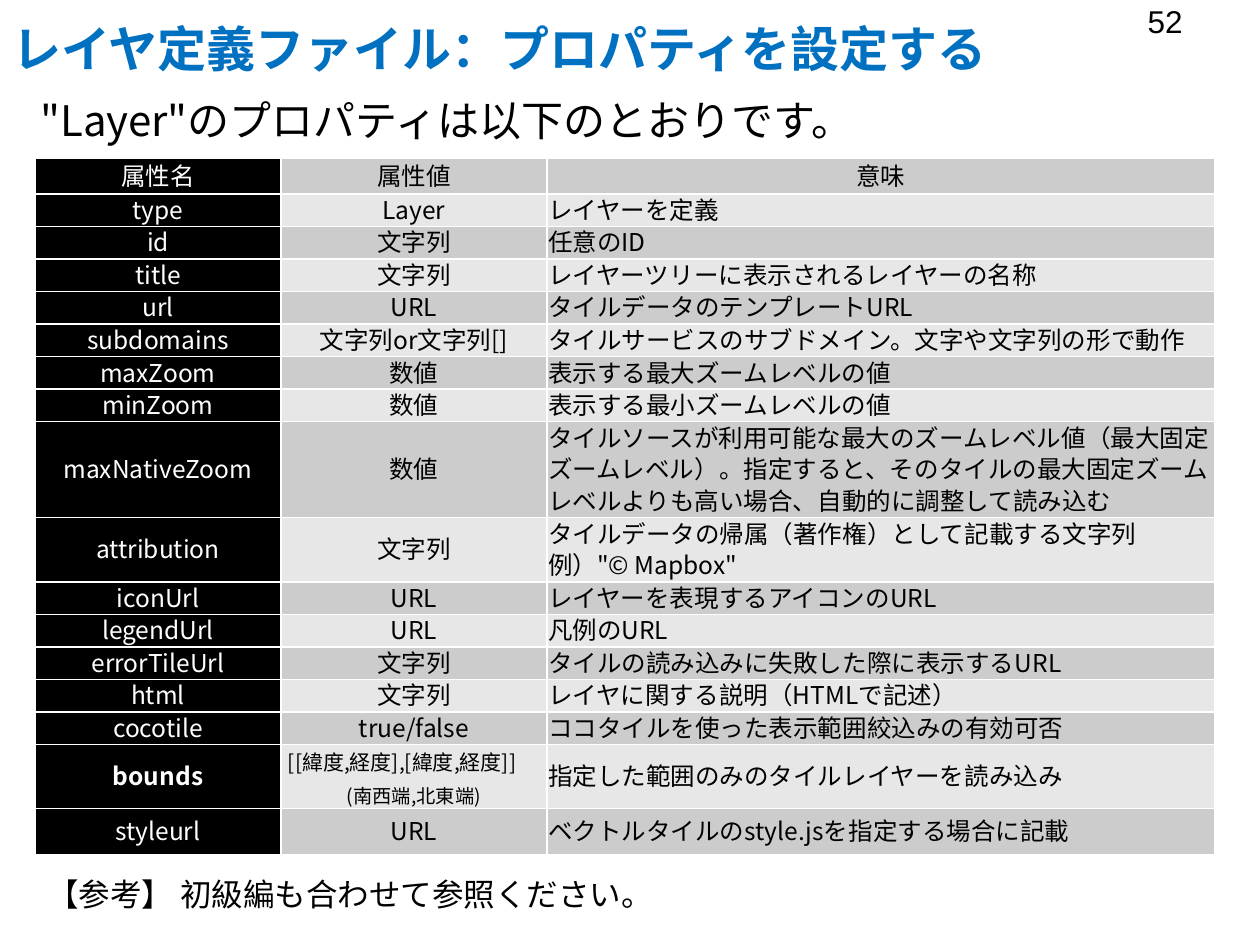
from lxml.etree import SubElement
from pptx import Presentation
from pptx.dml.color import RGBColor
from pptx.enum.text import MSO_ANCHOR as Anchor, MSO_AUTO_SIZE as AutoSize, PP_ALIGN as Align
from pptx.oxml import parse_xml
from pptx.oxml.ns import nsdecls, qn
from pptx.util import Pt

PX = 914400 / 126
GOTHIC = "Noto Sans CJK JP"
COLORS = {"title": "0070C0", "text": "000000", "light": "FFFFFF",
          "name": "000000", "band_dark": "CCCCCC", "band_light": "E7E7E7",
          "border": "FFFFFF"}

COLUMN_WIDTHS = [246, 266, 668]
ROW_HEIGHT = 32
SPECIAL_HEIGHTS = {"属性名": 36, "maxNativeZoom": 96, "attribution": 64,
                   "bounds": 64, "styleurl": 46}
PROPERTIES = [
    ("属性名", "属性値", "意味"),
    ("type", "Layer", "レイヤーを定義"),
    ("id", "文字列", "任意のID"),
    ("title", "文字列", "レイヤーツリーに表示されるレイヤーの名称"),
    ("url", "URL", "タイルデータのテンプレートURL"),
    ("subdomains", "文字列or文字列[]", "タイルサービスのサブドメイン。文字や文字列の形で動作"),
    ("maxZoom", "数値", "表示する最大ズームレベルの値"),
    ("minZoom", "数値", "表示する最小ズームレベルの値"),
    ("maxNativeZoom", "数値",
     "タイルソースが利用可能な最大のズームレベル値（最大固定ズームレベル）。"
     "指定すると、そのタイルの最大固定ズームレベルよりも高い場合、自動的に調整して読み込む"),
    ("attribution", "文字列",
     "タイルデータの帰属（著作権）として記載する文字列\n例）\"© Mapbox\""),
    ("iconUrl", "URL", "レイヤーを表現するアイコンのURL"),
    ("legendUrl", "URL", "凡例のURL"),
    ("errorTileUrl", "文字列", "タイルの読み込みに失敗した際に表示するURL"),
    ("html", "文字列", "レイヤに関する説明（HTMLで記述）"),
    ("cocotile", "true/false", "ココタイルを使った表示範囲絞込みの有効可否"),
    ("bounds", [("[[緯度,経度],[緯度,経度]] ", 12), ("　(南西端,北東端)", 11)],
     "指定した範囲のみのタイルレイヤーを読み込み"),
    ("styleurl", "URL", "ベクトルタイルのstyle.jsを指定する場合に記載"),
]


def px(length):
    return round(length * PX)


def apply(target, values):
    for name, value in values.items():
        setattr(target, name, value)


def add_run(paragraph, text, size, color, font=GOTHIC, bold=False):
    run = paragraph.add_run()
    run.text = text
    apply(run.font, {"size": Pt(size), "bold": bold, "name": font})
    run.font.color.rgb = RGBColor.from_string(COLORS[color])
    SubElement(run.font._element, qn("a:ea"), typeface=font)


def add_line(slide, box, text, size, color="text", font=GOTHIC, bold=False,
             frame_format=None, paragraph_format=None):
    frame = slide.shapes.add_textbox(*map(px, box)).text_frame
    apply(frame, {"word_wrap": True, **(frame_format or {})})
    paragraph = frame.paragraphs[0]
    apply(paragraph, paragraph_format or {})
    add_run(paragraph, text, size, color, font, bold)


def add_borders(cell):
    properties = cell._tc.get_or_add_tcPr()
    for index, side in enumerate(("lnL", "lnR", "lnT", "lnB")):
        properties.insert(index, parse_xml(
            f'<a:{side} {nsdecls("a")} w="12700"><a:solidFill>'
            f'<a:srgbClr val="{COLORS["border"]}"/></a:solidFill></a:{side}>'))


def fill_cell(cell, content, fill, color, align, bold):
    """Content is text, one paragraph a line, or a list of (text, size) runs."""
    apply(cell, {"vertical_anchor": Anchor.MIDDLE, "margin_left": px(1),
                 "margin_right": px(1), "margin_top": px(1), "margin_bottom": 0})
    cell.fill.solid()
    cell.fill.fore_color.rgb = RGBColor.from_string(COLORS[fill])
    add_borders(cell)
    if isinstance(content, str):
        lines = [[(line, 14)] for line in content.split("\n")]
    else:
        lines = [content]
    frame = cell.text_frame
    for index, runs in enumerate(lines):
        paragraph = frame.add_paragraph() if index else frame.paragraphs[0]
        apply(paragraph, {"alignment": align, "line_spacing": Pt(18)})
        for text, size in runs:
            add_run(paragraph, text, size, color, bold=bold)


def add_property_table(slide, left, top):
    heights = [SPECIAL_HEIGHTS.get(row[0], ROW_HEIGHT) for row in PROPERTIES]
    box = (left, top, sum(COLUMN_WIDTHS), sum(heights))
    table = slide.shapes.add_table(len(PROPERTIES), len(COLUMN_WIDTHS),
                                   *map(px, box)).table
    for column, width in zip(table.columns, COLUMN_WIDTHS):
        column.width = px(width)
    for r, (row, height) in enumerate(zip(PROPERTIES, heights)):
        table.rows[r].height = px(height)
        band = "band_light" if r % 2 else "band_dark"
        for c, content in enumerate(row):
            is_name = c == 0
            fill_cell(table.cell(r, c), content,
                      fill="name" if is_name else band,
                      color="light" if is_name else "text",
                      align=Align.LEFT if c == 2 and r else Align.CENTER,
                      bold=content == "bounds")


def add_heading(slide, left, top):
    add_line(slide, (left, top, 1076, 66), "レイヤ定義ファイル：プロパティを設定する",
             28, "title", bold=True,
             frame_format={"vertical_anchor": Anchor.MIDDLE},
             paragraph_format={"line_spacing": 1.5})
    add_line(slide, (left + 901, top - 4, 294, 66), "52", 18, font="Arial",
             paragraph_format={"alignment": Align.RIGHT})


def build_property_slide(slide):
    grow = {"auto_size": AutoSize.SHAPE_TO_FIT_TEXT}
    add_heading(slide, 0, 0)
    add_line(slide, (28, 88, 1197, 63), "\"Layer\"のプロパティは以下のとおりです。", 24,
             frame_format=grow)
    add_property_table(slide, 35, 158)
    add_line(slide, (35, 869, 1177, 50), "【参考】 初級編も合わせて参照ください。", 18,
             frame_format=grow, paragraph_format={"space_after": Pt(6)})


def main():
    deck = Presentation()
    apply(deck, {"slide_width": px(1260), "slide_height": px(945)})
    build_property_slide(deck.slides.add_slide(deck.slide_layouts[6]))
    deck.save("out.pptx")


if __name__ == "__main__":
    main()
